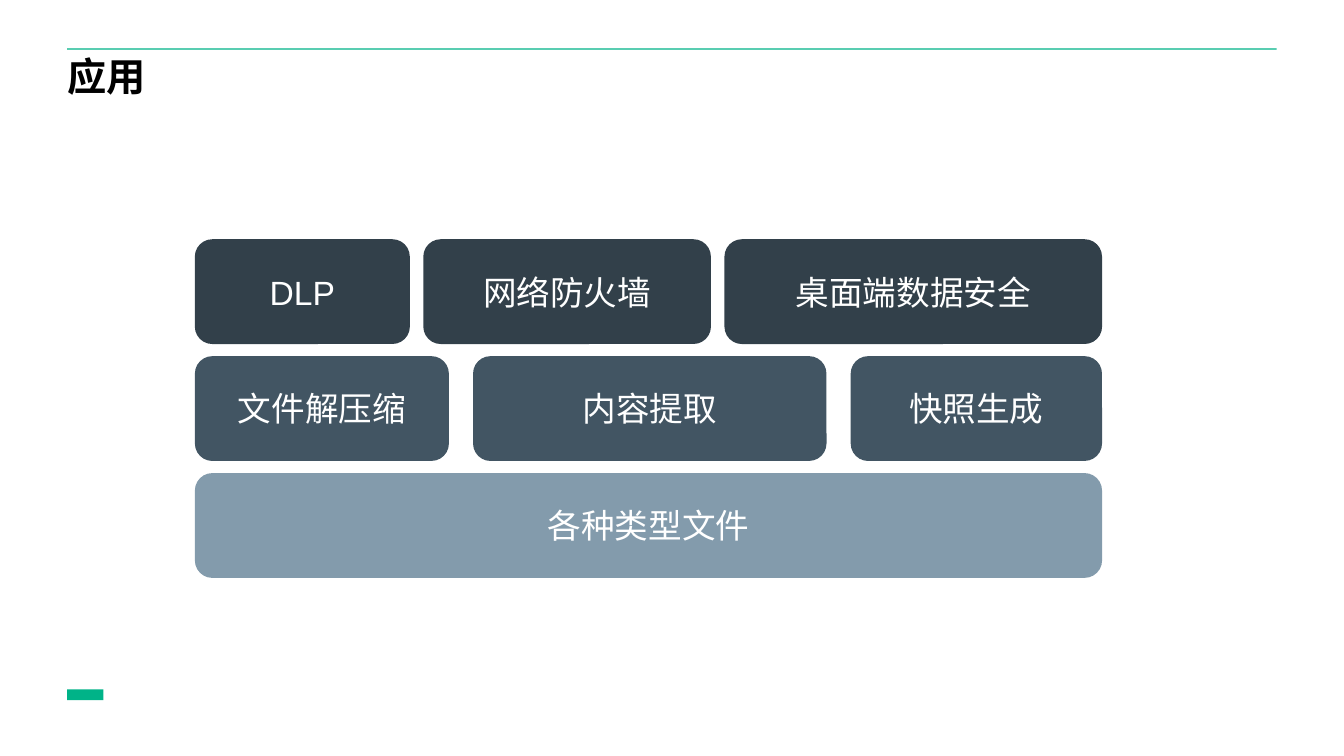
import pptx
import pptx.dml.color
import pptx.enum.shapes
import pptx.enum.text
import pptx.util
from pptx.util import Inches

GREEN = pptx.dml.color.RGBColor(0x00, 0xB3, 0x88)
BLACK = pptx.dml.color.RGBColor(0x00, 0x00, 0x00)
WHITE = pptx.dml.color.RGBColor(0xFF, 0xFF, 0xFF)
DARK_SLATE = pptx.dml.color.RGBColor(0x32, 0x40, 0x4A)
SLATE = pptx.dml.color.RGBColor(0x42, 0x55, 0x63)
LIGHT_SLATE = pptx.dml.color.RGBColor(0x83, 0x9B, 0xAC)

FONT = "Arial"
STACK_LEFT, STACK_TOP, STACK_WIDTH = 1.45, 1.78, 6.75
LAYER_HEIGHT, LAYER_PITCH = 0.78, 0.87
LAYERS = [
    (DARK_SLATE, [("DLP", 1.6), ("网络防火墙", 2.14), ("桌面端数据安全", 2.81)]),
    (SLATE, [("文件解压缩", 1.89), ("内容提取", 2.63), ("快照生成", 1.87)]),
    (LIGHT_SLATE, [("各种类型文件", STACK_WIDTH)]),
]


def add_block(slide, preset, left, top, width, height, color):
    """Add a filled shape without line or shadow."""
    block = slide.shapes.add_shape(
        preset, Inches(left), Inches(top), Inches(width), Inches(height))
    block.shadow.inherit = False
    block.fill.solid()
    block.fill.fore_color.rgb = color
    block.line.fill.background()
    return block


def style_paragraph(paragraph, size, color, bold=False):
    """Set the font of a whole paragraph."""
    paragraph.font.name = FONT
    paragraph.font.size = pptx.util.Pt(size)
    paragraph.font.bold = bold
    paragraph.font.color.rgb = color


def add_title(slide, title):
    """Add the slide title under the green rule."""
    heading = slide.shapes.add_textbox(
        Inches(0.5), Inches(0.43), Inches(9), Inches(0.7)).text_frame
    heading.word_wrap = True
    heading.margin_left = heading.margin_right = 0
    heading.margin_top = heading.margin_bottom = 0
    heading.text = title
    heading.paragraphs[0].line_spacing = 0.9
    style_paragraph(heading.paragraphs[0], 21, BLACK, bold=True)


def add_layer(slide, top, color, modules):
    """Spread one layer of modules across the stack with equal gaps."""
    free_width = STACK_WIDTH - sum(width for _, width in modules)
    gap = free_width / max(len(modules) - 1, 1)
    left = STACK_LEFT
    for label, width in modules:
        module = add_block(
            slide, pptx.enum.shapes.MSO_SHAPE.ROUNDED_RECTANGLE,
            left, top, width, LAYER_HEIGHT, color)
        module.text_frame.text = label
        module.text_frame.vertical_anchor = pptx.enum.text.MSO_ANCHOR.MIDDLE
        paragraph = module.text_frame.paragraphs[0]
        paragraph.alignment = pptx.enum.text.PP_ALIGN.CENTER
        style_paragraph(paragraph, 18, WHITE)
        left += width + gap


def main():
    """Build the application stack slide."""
    presentation = pptx.Presentation()
    presentation.slide_width = Inches(10)
    presentation.slide_height = Inches(5.625)
    slide = presentation.slides.add_slide(presentation.slide_layouts[6])

    rectangle = pptx.enum.shapes.MSO_SHAPE.RECTANGLE
    add_block(slide, rectangle, 0.5, 0.36, 9, 0.01, GREEN)
    add_block(slide, rectangle, 0.5, 5.13, 0.27, 0.08, GREEN)
    add_title(slide, "应用")
    for level, (color, modules) in enumerate(LAYERS):
        add_layer(slide, STACK_TOP + level * LAYER_PITCH, color, modules)

    presentation.save("out.pptx")


if __name__ == "__main__":
    main()
